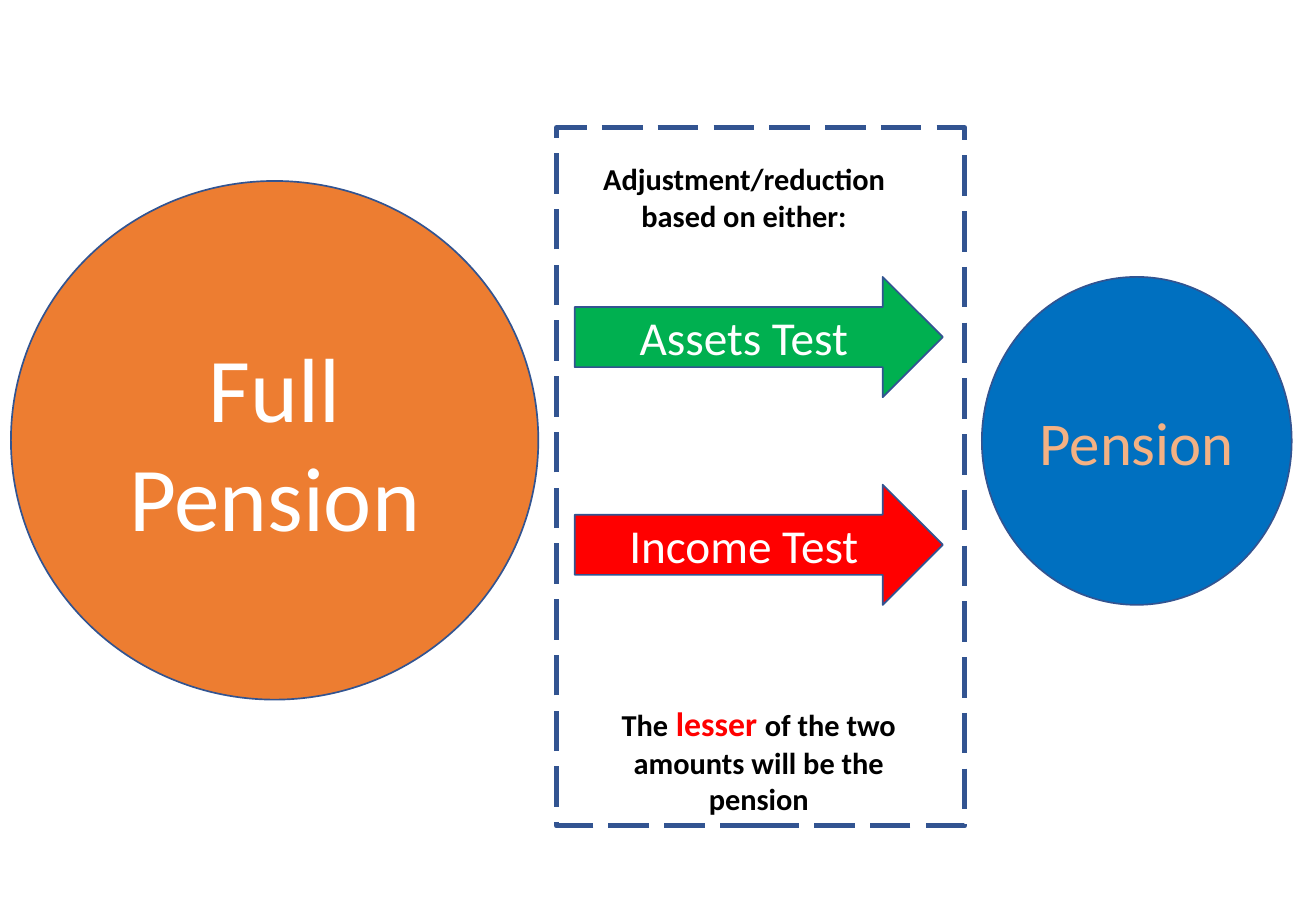
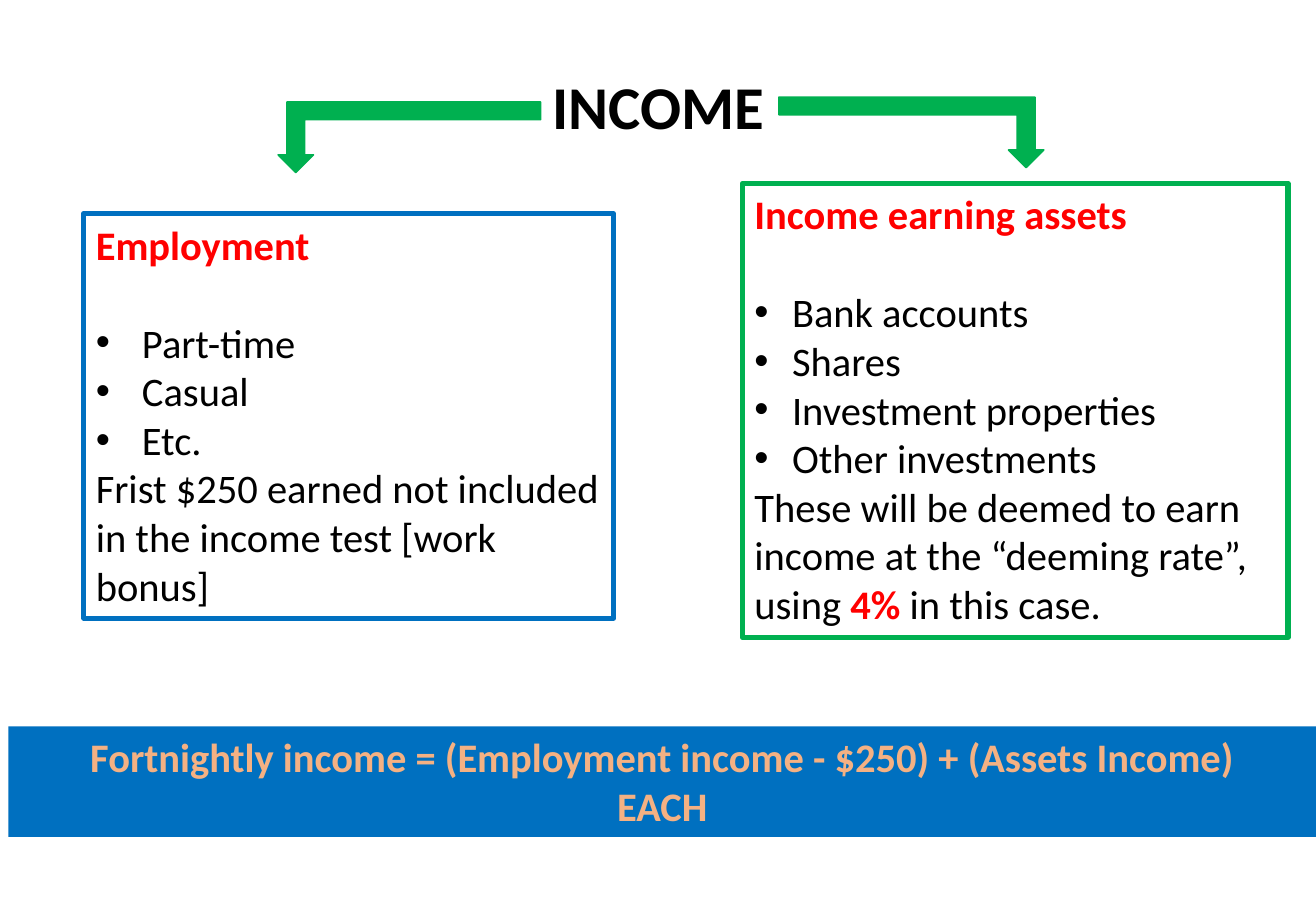
from dataclasses import dataclass, field
from lxml import etree
from pptx import Presentation
from pptx import util as u
from pptx.dml.color import RGBColor
from pptx.enum import dml, shapes, text
from pptx.oxml.ns import qn

PX = 9144  # 100 px to the inch
SHAPE = shapes.MSO_SHAPE
CENTER = text.PP_ALIGN.CENTER
GROW = text.MSO_AUTO_SIZE.SHAPE_TO_FIT_TEXT


class Theme:
    font = "Calibri"
    orange, peach = "ED7D31", "F4B183"
    blue, navy = "0070C0", "325491"
    green, red = "00B050", "FF0000"
    black, white = "000000", "FFFFFF"
    huge, title, label, body, accent, note = 54, 36, 28, 24, 20, 18
    thin, thick = 1, 3


@dataclass
class Box:
    left: int
    top: int
    width: int
    height: int

    def inner(self, left, top, width, height):
        """Box placed relative to this one's top left corner."""
        return Box(self.left + left, self.top + top, width, height)

    def emu(self):
        return [u.Emu(side * PX) for side in (self.left, self.top, self.width, self.height)]


@dataclass
class Span:
    words: str
    size: int = Theme.body
    color: str = Theme.black
    bold: bool = False


@dataclass
class Para:
    spans: list
    format: dict = field(default_factory=dict)
    bullet_indent: int = 0


def set_all(target, values):
    for name, value in values.items():
        setattr(target, name, value)


def add_bullet(para, indent):
    props = para._p.get_or_add_pPr()
    for name, value in {"marL": indent * PX, "indent": -indent * PX}.items():
        props.set(name, str(value))
    etree.SubElement(props, qn("a:buFont")).set("typeface", "Arial")
    etree.SubElement(props, qn("a:buChar")).set("char", "•")


def write(shape, paras, **frame_format):
    frame = shape.text_frame
    set_all(frame, {"word_wrap": True, **frame_format})
    for index, source in enumerate(paras):
        para = frame.add_paragraph() if index else frame.paragraphs[0]
        set_all(para, {"alignment": text.PP_ALIGN.LEFT, **source.format})
        if source.bullet_indent:
            add_bullet(para, source.bullet_indent)
        for span in source.spans:
            run = para.add_run()
            run.text = span.words
            set_all(run.font, {"name": Theme.font, "size": u.Pt(span.size), "bold": span.bold})
            run.font.color.rgb = RGBColor.from_string(span.color)


def centered(*spans):
    return Para(spans, {"alignment": CENTER})


def add_shape(page, kind, box, fill=None, edge=None, weight=Theme.thin):
    shape = page.shapes.add_shape(kind, *box.emu())
    shape.shadow.inherit = False
    for paint, color in ((shape.fill, fill), (shape.line.fill, edge)):
        if color:
            paint.solid()
            paint.fore_color.rgb = RGBColor.from_string(color)
        else:
            paint.background()
    if edge:
        shape.line.width = u.Pt(weight)
    return shape


def add_text(page, box, paras, **frame_format):
    write(page.shapes.add_textbox(*box.emu()), paras, auto_size=GROW, **frame_format)


def labelled_shape(page, kind, box, fill, span):
    shape = add_shape(page, kind, box, fill, Theme.navy)
    write(shape, [centered(span)], vertical_anchor=text.MSO_ANCHOR.MIDDLE)


def tests_panel(page, box):
    """Dashed frame with the two tests as arrows between two notes."""
    tests = (("Assets Test", Theme.green), ("Income Test", Theme.red))
    for index, (name, fill) in enumerate(tests):
        labelled_shape(page, SHAPE.RIGHT_ARROW, box.inner(15, 123 + 171 * index, 303, 99),
                       fill, Span(name, Theme.label, Theme.white))
    frame = add_shape(page, SHAPE.RECTANGLE, box, None, Theme.navy, Theme.thick)
    frame.line.dash_style = dml.MSO_LINE.LONG_DASH
    add_text(page, box.inner(18, 22, 273, 71), [
        centered(Span("Adjustment/reduction based on either:", Theme.note, bold=True))])
    add_text(page, box.inner(15, 469, 303, 104), [centered(
        Span("The", Theme.note, bold=True),
        Span(" lesser ", Theme.accent, Theme.red, True),
        Span("of the two amounts will be the pension", Theme.note, bold=True))])


def income_panel(page, box, edge, heading, items, indent, closing):
    shape = add_shape(page, SHAPE.RECTANGLE, box, None, edge, Theme.thick)
    paras = [Para([Span(heading, color=Theme.red, bold=True)], {"space_after": u.Pt(29.3)})]
    paras += [Para([Span(item)], bullet_indent=indent) for item in items]
    paras.append(Para(closing))
    write(shape, paras, auto_size=GROW, vertical_anchor=text.MSO_ANCHOR.TOP)


def income_header(page, box):
    """Title with an arrow bending down on either side."""
    add_text(page, box.inner(216, 0, 196, 71),
             [Para([Span("INCOME", Theme.title, bold=True)])], word_wrap=False)
    arrows = ((box.inner(412, 28, 218, 58), ["flipV"]),
              (box.inner(0, 32, 216, 58), ["flipH", "flipV"]))
    for place, flips in arrows:
        arrow = add_shape(page, SHAPE.BENT_UP_ARROW, place, Theme.green, Theme.green)
        for flip in flips:
            arrow.element.spPr.find(qn("a:xfrm")).set(flip, "1")


def formula_band(page, box):
    band = add_shape(page, SHAPE.RECTANGLE, box, Theme.blue)
    lines = ("Fortnightly income = (Employment income - $250) + (Assets Income)", "EACH")
    write(band, [centered(Span(line, color=Theme.peach, bold=True)) for line in lines],
          auto_size=GROW, vertical_anchor=text.MSO_ANCHOR.TOP)


def pension_slide(page):
    labelled_shape(page, SHAPE.OVAL, Box(9, 149, 434, 427), Theme.orange,
                   Span("Full Pension", Theme.huge, Theme.white))
    labelled_shape(page, SHAPE.OVAL, Box(808, 228, 255, 270), Theme.blue,
                   Span("Pension", Theme.title, Theme.peach))
    tests_panel(page, Box(458, 105, 336, 575))


def income_slide(page):
    income_panel(page, Box(611, 151, 449, 374), Theme.green, "Income earning assets",
                 ["Bank accounts", "Shares", "Investment properties", "Other investments"], 31,
                 [Span("These will be deemed to earn income at the “deeming rate”, using "),
                  Span("4% ", color=Theme.red, bold=True), Span("in this case.")])
    income_panel(page, Box(69, 176, 436, 333), Theme.blue, "Employment",
                 ["Part-time", "Casual", "Etc."], 38,
                 [Span("Frist $250 earned not included in the income test [work bonus]")])
    income_header(page, Box(229, 52, 630, 90))
    formula_band(page, Box(7, 598, 1076, 91))


def main():
    deck = Presentation()
    set_all(deck, {"slide_width": u.Emu(1083 * PX), "slide_height": u.Emu(750 * PX)})
    for build in (pension_slide, income_slide):
        build(deck.slides.add_slide(deck.slide_layouts[6]))
    deck.save("out.pptx")


if __name__ == "__main__":
    main()
